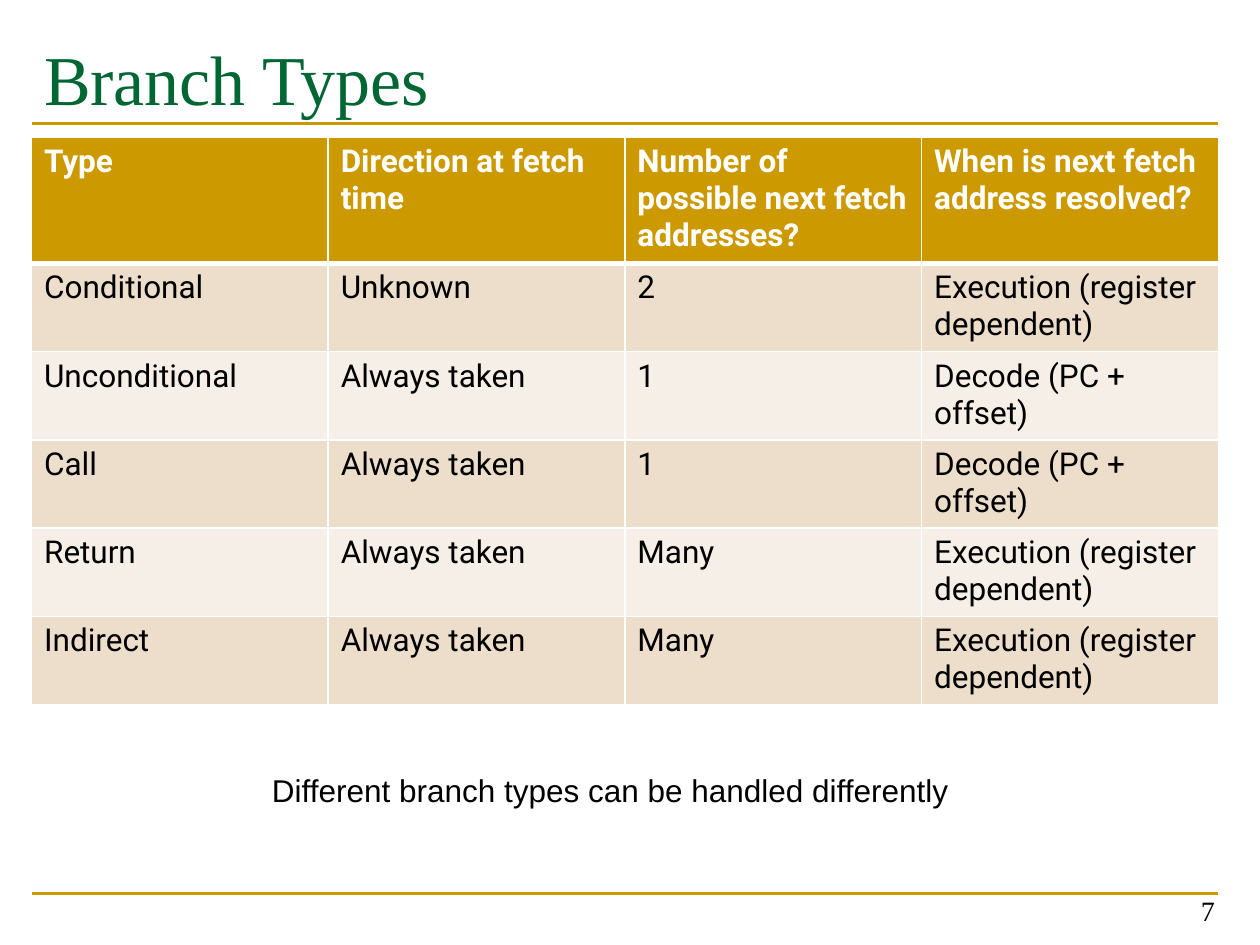
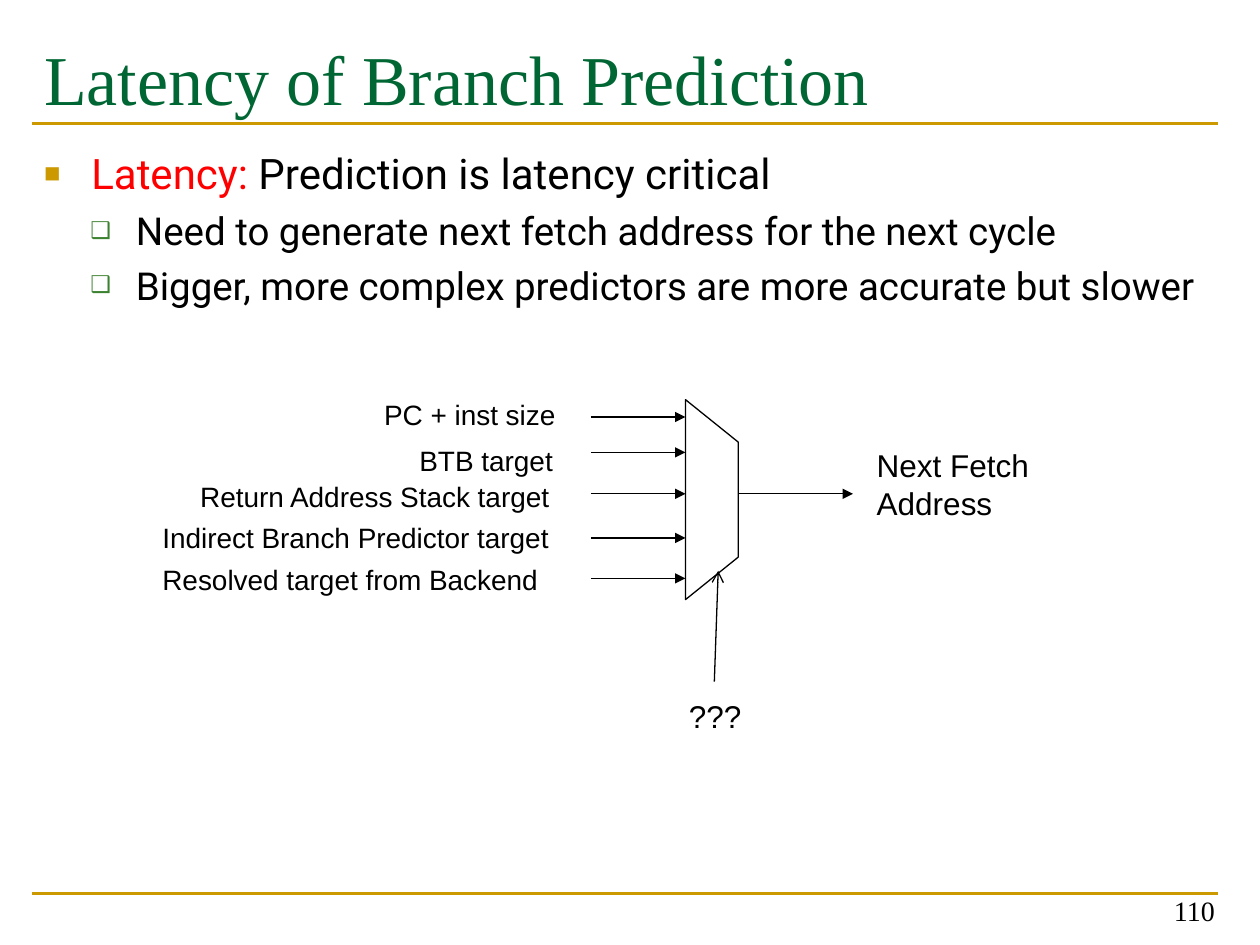
from lxml.etree import SubElement
from pptx import Presentation
from pptx.dml.color import RGBColor
from pptx.enum.shapes import MSO_CONNECTOR
from pptx.enum.text import MSO_ANCHOR, MSO_AUTO_SIZE, PP_ALIGN
from pptx.oxml.ns import qn
from pptx.util import Pt

HUES = {
    "gold": "CC9900", "green": "006633", "leaf": "3B812F", "red": "FF0000",
    "black": "000000", "white": "FFFFFF", "tan": "ECDECB", "cream": "F6EFE7",
}
SERIF, SANS, BODY = "Times New Roman", "Arial", "Roboto"
LEFT, WIDE = 18, 678.2
TOP = 78.5

ROWS = [
    ("Type", "Direction at fetch time", "Number of possible next fetch addresses?",
     "When is next fetch address resolved?"),
    ("Conditional", "Unknown", "2", "Execution (register dependent)"),
    ("Unconditional", "Always taken", "1", "Decode (PC + offset)"),
    ("Call", "Always taken", "1", "Decode (PC + offset)"),
    ("Return", "Always taken", "Many", "Execution (register dependent)"),
    ("Indirect", "Always taken", "Many", "Execution (register dependent)"),
]

# level, runs
POINTS = [
    (0, [("Latency: ", "red"), ("Prediction is latency critical", "black")]),
    (1, [("Need to generate next fetch address for the next cycle", "black")]),
    (1, [("Bigger, more complex predictors are more accurate but slower", "black")]),
]
# size, left margin, indent, bullet, bullet colour, bullet percent
LEVELS = [(24, 27, -27, "■", "gold", 65), (22, 52.5, -26, "❑", "leaf", 60)]

# label, left, top, width, arrow height on the page
INPUTS = [
    ("PC + inst size", 212.4, 223.9, 113.8, 238.3),
    ("BTB target", 232.6, 249.8, 91.4, 258.5),
    ("Return Address Stack target", 107.3, 270.7, 216.7, 282.2),
    ("Indirect Branch Predictor target", 85.7, 293.8, 238.3, 307.4),
    ("Resolved target from Backend", 85.7, 318.2, 231.8, 330.5),
]


def hue(name):
    return RGBColor.from_string(HUES[name])


def add_run(para, text, size, font, tint="black", bold=False):
    run = para.add_run()
    run.text = text
    run.font.size, run.font.name, run.font.bold = Pt(size), font, bold
    run.font.color.rgb = hue(tint)


def place(shape, left, top, width, height):
    shape.left, shape.top = Pt(left), Pt(top)
    shape.width, shape.height = Pt(width), Pt(height)


def add_line(slide, x1, y1, x2, y2, tint="black", width=0.75, head=None):
    line = slide.shapes.add_connector(
        MSO_CONNECTOR.STRAIGHT, Pt(x1), Pt(y1), Pt(x2), Pt(y2))
    line.line.color.rgb = hue(tint)
    line.line.width = Pt(width)
    if head:
        SubElement(line.line._get_or_add_ln(), qn("a:tailEnd"), type=head)
    SubElement(line._element.spPr, qn("a:effectLst"))


def add_label(slide, lines, left, top, width, height, size=18, font=SANS,
              align=PP_ALIGN.LEFT, anchor=MSO_ANCHOR.TOP):
    frame = slide.shapes.add_textbox(
        Pt(left), Pt(top), Pt(width), Pt(height)).text_frame
    frame.word_wrap = False
    frame.vertical_anchor = anchor
    for i, text in enumerate(lines):
        para = frame.add_paragraph() if i else frame.paragraphs[0]
        para.alignment = align
        add_run(para, text, size, font)


def add_page(deck, layout, title, number):
    slide = deck.slides.add_slide(deck.slide_layouts[layout])
    # Gold rules
    for y in (510.5, 70.6):
        add_line(slide, LEFT, y, LEFT + WIDE, y, "gold", 1.5)
    # Title
    head = slide.shapes.title
    place(head, LEFT, 12.2, WIDE, 84.2)
    frame = head.text_frame
    frame.auto_size = MSO_AUTO_SIZE.NONE
    frame.vertical_anchor = MSO_ANCHOR.TOP
    frame.margin_top = Pt(8)
    para = frame.paragraphs[0]
    para.alignment = PP_ALIGN.LEFT
    add_run(para, title, 40, SERIF, "green")
    # Page number
    add_label(slide, [number], 533.5, 497.5, 167.8, 36, 16, SERIF,
              PP_ALIGN.RIGHT, MSO_ANCHOR.BOTTOM)
    return slide


def add_edge(cell, side, width):
    edge = SubElement(cell._tc.get_or_add_tcPr(), qn("a:ln" + side),
                      w=str(Pt(width)))
    fill = SubElement(edge, qn("a:solidFill"))
    SubElement(fill, qn("a:srgbClr"), val=HUES["white"])


def add_grid(slide, rows):
    table = slide.shapes.add_table(
        len(rows), len(rows[0]), Pt(LEFT), Pt(TOP), Pt(WIDE), Pt(324)).table
    for col in table.columns:
        col.width = Pt(WIDE / len(rows[0]))
    for r, row in enumerate(rows):
        table.rows[r].height = Pt(50.4 if r else 72)
        for c, text in enumerate(row):
            cell = table.cell(r, c)
            for side in "LRTB":
                thick = (r, side) in ((0, "B"), (1, "T"))
                add_edge(cell, side, 3 if thick else 1)
            cell.fill.solid()
            cell.fill.fore_color.rgb = hue(
                "gold" if r == 0 else "tan" if r % 2 else "cream")
            add_run(cell.text_frame.paragraphs[0], text, 18, BODY,
                    "black" if r else "white", r == 0)


def add_list(slide, points):
    body = slide.placeholders[1]
    place(body, LEFT, TOP, WIDE, 409)
    frame = body.text_frame
    frame.auto_size = MSO_AUTO_SIZE.NONE
    frame.margin_top = Pt(6)
    for i, (level, runs) in enumerate(points):
        size, margin, indent, mark, tint, part = LEVELS[level]
        para = frame.add_paragraph() if i else frame.paragraphs[0]
        para.level = level
        props = para._p.get_or_add_pPr()
        props.set("marL", str(Pt(margin)))
        props.set("indent", str(Pt(indent)))
        shade = SubElement(props, qn("a:buClr"))
        SubElement(shade, qn("a:srgbClr"), val=HUES[tint])
        SubElement(props, qn("a:buSzPct"), val=str(part * 1000))
        SubElement(props, qn("a:buChar"), char=mark)
        para.space_before = Pt(5 if i else 0)
        for text, ink in runs:
            add_run(para, text, size, BODY, ink)


def add_mux(slide, left, right, top, base, slant):
    pen = slide.shapes.build_freeform(Pt(left), Pt(top))
    pen.add_line_segments([(Pt(right), Pt(top + slant)),
                           (Pt(right), Pt(base - slant)),
                           (Pt(left), Pt(base))], close=True)
    mux = pen.convert_to_shape()
    mux.shadow.inherit = False
    mux.fill.background()
    mux.line.color.rgb = hue("black")
    mux.line.width = Pt(0.75)


def main():
    deck = Presentation()
    deck.slide_width, deck.slide_height = Pt(720), Pt(540)

    # Branch types
    slide = add_page(deck, 5, "Branch Types", "7")
    add_grid(slide, ROWS)
    add_label(slide, ["Different branch types can be handled differently"],
              148.3, 437, 404.6, 29)

    # Latency, with the target mux
    slide = add_page(deck, 1, "Latency of Branch Prediction", "110")
    add_list(slide, POINTS)
    left, right = 391.7, 421.9
    add_mux(slide, left, right, 228.4, 342.7, 24.3)
    for text, x, y, width, tip in INPUTS:
        add_label(slide, [text], x, y, width, 26.6, 16)
        add_line(slide, left - 54, tip, left, tip, head="triangle")
    add_line(slide, right, 282.2, 487.4, 282.2, head="triangle")
    add_label(slide, ["Next Fetch", "Address"], 493.9, 251.3, 101.5, 50.4)
    add_line(slide, 408.2, 389.5, 410.4, 326.2, head="arrow")
    add_label(slide, ["???"], 386.6, 394.6, 44.6, 29)

    deck.save("out.pptx")


if __name__ == "__main__":
    main()
